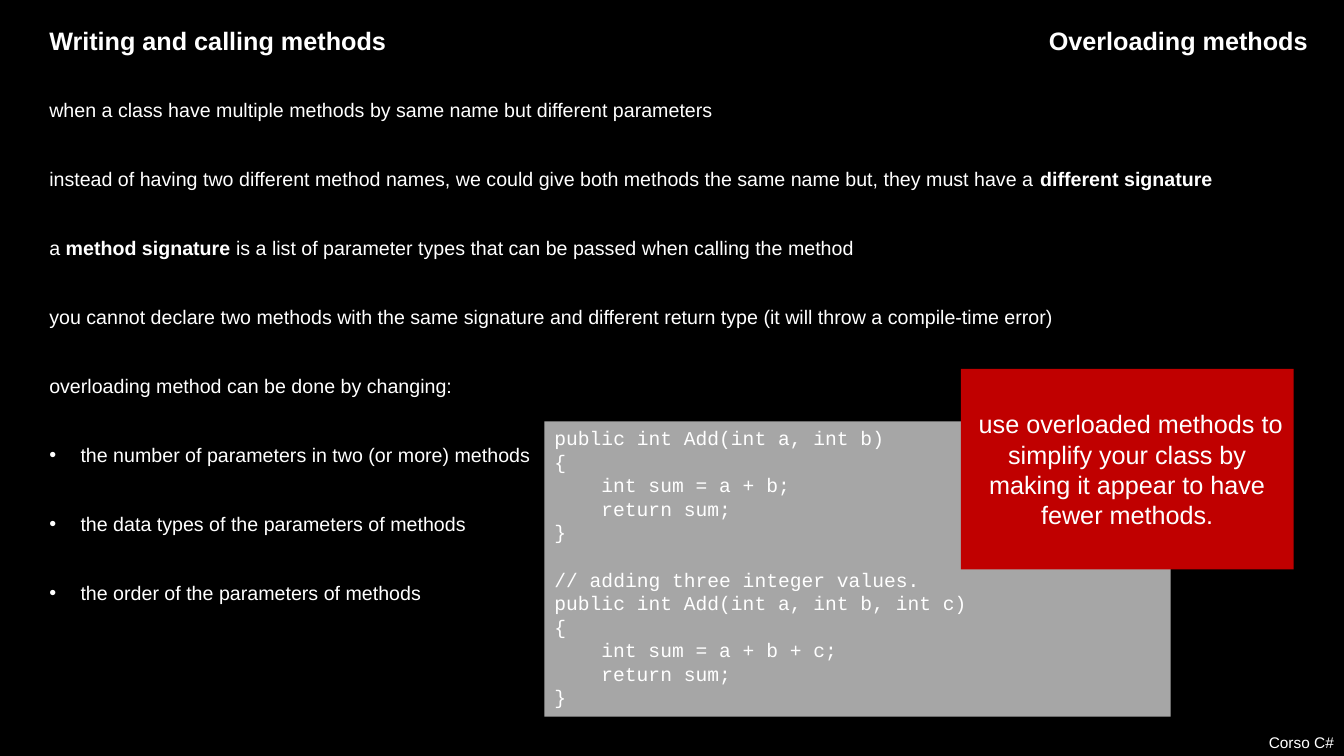
"""Build the slide on overloading methods."""
from pptx import Presentation, util as u
from pptx.dml.color import RGBColor
from pptx.enum import shapes, text
from pptx.oxml import parse_xml
from pptx.oxml.ns import nsdecls

WIDTH, HEIGHT = 13.33, 7.5
MARGIN = 0.39
WHITE = "FFFFFF"
LEFT, CENTER, RIGHT = text.PP_ALIGN.LEFT, text.PP_ALIGN.CENTER, text.PP_ALIGN.RIGHT


def paint(color_format, color):
    color_format.rgb = RGBColor.from_string(color)


def write(paragraph, runs, size, font="Arial", align=LEFT, before=0):
    paragraph.alignment = align
    paragraph.space_before = u.Pt(before)
    for words, bold in runs:
        run = paragraph.add_run()
        run.text = words
        run.font.size = u.Pt(size)
        run.font.name = font
        run.font.bold = bold
        paint(run.font.color, WHITE)


deck = Presentation()
deck.slide_width, deck.slide_height = u.Inches(WIDTH), u.Inches(HEIGHT)
slide = deck.slides.add_slide(deck.slide_layouts[6])
slide.background.fill.solid()
paint(slide.background.fill.fore_color, "000000")

labels = [
    ("Corso C#", (0, 7.22, WIDTH, 0.29), 11, False, RIGHT, 0, True),
    ("Writing and calling methods", (MARGIN, 0.2, 3.58, 0.4), 18, True, LEFT, 24, False),
    ("Overloading methods", (6.15, 0.2, 6.92, 0.4), 18, True, RIGHT, 24, True),
]
for words, place, size, bold, align, before, wrap in labels:
    label = slide.shapes.add_textbox(*map(u.Inches, place)).text_frame
    label.word_wrap = wrap
    write(label.paragraphs[0], [(words, bold)], size, align=align, before=before)

statements = [
    [("when a class have multiple methods by same name but different parameters", False)],
    [("instead of having two different method names, we could give both methods "
      "the same name but, they must have a ", False), ("different signature", True)],
    [("a ", False), ("method signature ", True),
     ("is a list of parameter types that can be passed when calling the method", False)],
    [("you cannot declare two methods with the same signature and different "
      "return type (it will throw a compile-time error)", False)],
    [("overloading method can be done by changing:", False)],
]
changes = [
    [("the number of parameters in two (or more) methods", False)],
    [("the data types of the parameters of methods", False)],
    [("the order of the parameters of methods", False)],
]
body = slide.shapes.add_textbox(*map(u.Inches, (MARGIN, 0.81, 12.52, 5.24))).text_frame
body.word_wrap = True
for row, runs in enumerate(statements + changes):
    paragraph = body.add_paragraph() if row else body.paragraphs[0]
    write(paragraph, runs, 14, before=24)
    paragraph.line_spacing = 1.5
    if runs in changes:
        properties = paragraph._p.get_or_add_pPr()
        properties.set("marL", str(u.Inches(0.31)))
        properties.set("indent", str(-u.Inches(0.31)))
        properties.append(parse_xml(f'<a:buFont {nsdecls("a")} typeface="Arial"/>'))
        properties.append(parse_xml(f'<a:buChar {nsdecls("a")} char="•"/>'))

panels = []
for place, color, anchor in [
    ((5.4, 4.18, 6.21, 2.93), "A6A6A6", text.MSO_ANCHOR.TOP),
    ((9.53, 3.66, 3.3, 1.99), "C00000", text.MSO_ANCHOR.MIDDLE),
]:
    panel = slide.shapes.add_shape(shapes.MSO_SHAPE.RECTANGLE, *map(u.Inches, place))
    panel.shadow.inherit = False
    panel.fill.solid()
    paint(panel.fill.fore_color, color)
    panel.line.fill.background()
    panel.text_frame.word_wrap = True
    panel.text_frame.vertical_anchor = anchor
    panels.append(panel.text_frame)
code, advice = panels

LINE_HEIGHT, CODE_INDENT = 16.8, 33.6
overloads = [
    (0, 0, "public int Add(int a, int b)"),
    (0, 0, "{"),
    (1, 0, "int sum = a + b;"),
    (1, 0, "return sum;"),
    (0, 0, "}"),
    (0, LINE_HEIGHT, "// adding three integer values."),
    (0, 0, "public int Add(int a, int b, int c)"),
    (0, 0, "{"),
    (1, 0, "int sum = a + b + c;"),
    (1, 0, "return sum;"),
    (0, 0, "}"),
]
for row, (depth, gap, statement) in enumerate(overloads):
    paragraph = code.add_paragraph() if row else code.paragraphs[0]
    write(paragraph, [(statement, False)], 14, "Courier New", before=gap)
    paragraph.line_spacing = u.Pt(LINE_HEIGHT)
    paragraph._p.get_or_add_pPr().set("marL", str(u.Pt(depth * CODE_INDENT)))

write(advice.paragraphs[0],
      [(" use overloaded methods to simplify your class by making it appear "
        "to have fewer methods.", False)], 18, align=CENTER)

deck.save("out.pptx")
